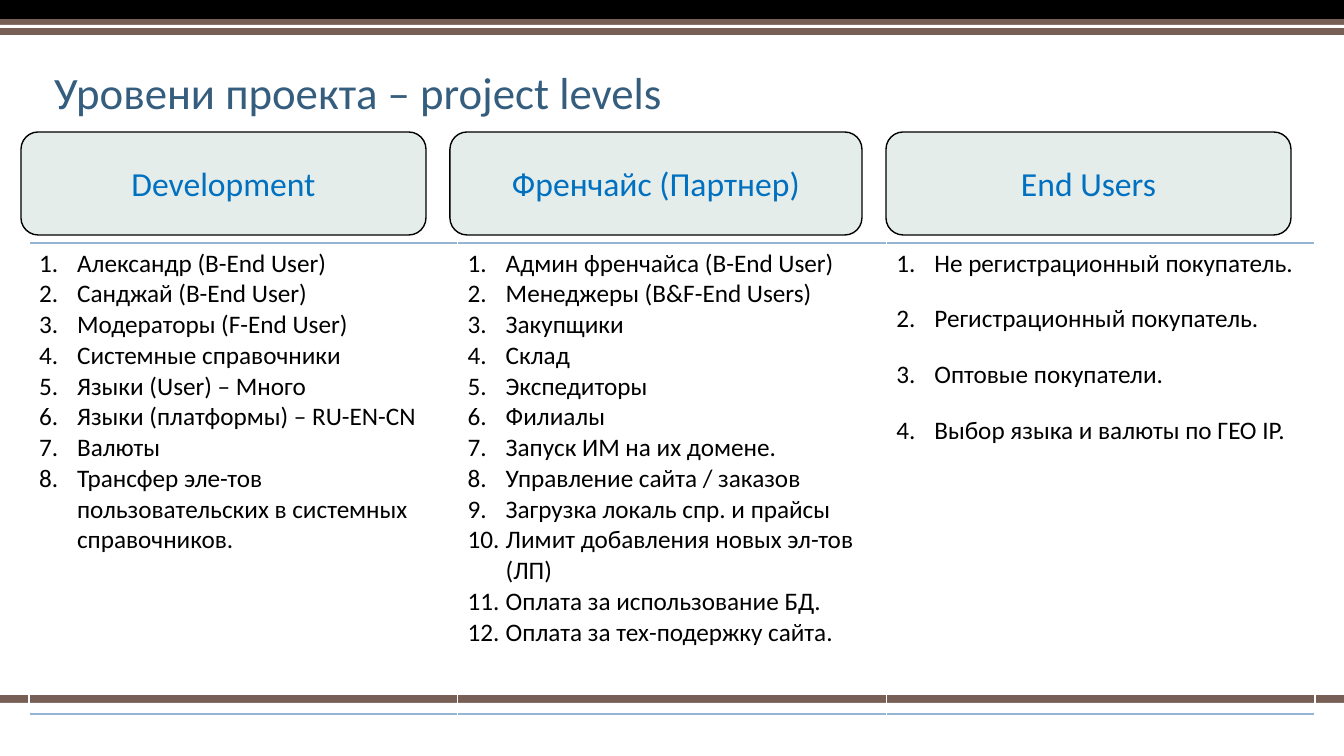
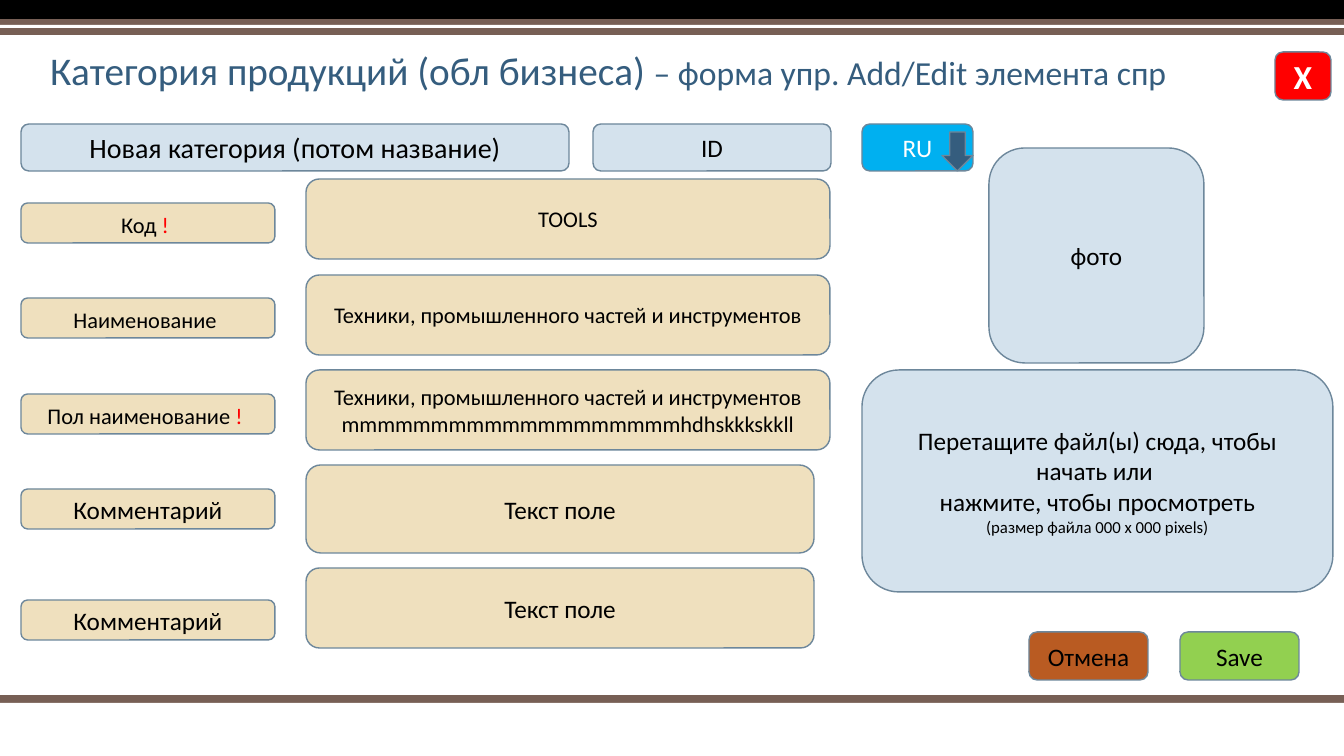
from lxml.etree import SubElement
from pptx import Presentation
from pptx.dml.color import RGBColor
from pptx.enum.shapes import MSO_SHAPE
from pptx.enum.text import MSO_ANCHOR, MSO_AUTO_SIZE, PP_ALIGN
from pptx.oxml import parse_xml
from pptx.oxml.ns import nsdecls, qn
from pptx.util import Emu, Pt

SLIDE_WIDTH, SLIDE_HEIGHT = 1344, 756
FONT = "Calibri"
BLACK, WHITE, RED = "000000", "FFFFFF", "FF0000"
BROWN, NAVY, OUTLINE = "775F55", "355D7E", "6D879B"
PALE_GREEN, HEADING_BLUE, RULE_BLUE = "E5EDEB", "0070C0", "94B6D2"
PALE_BLUE, SAND = "D4E2ED", "EFE0BE"
SKY, RUST, LIME = "00B0F0", "B95B22", "92D050"

BANDS = [
    (695, 11, BROWN),
    (703, 3, WHITE),
    (0, 19, BLACK),
    (19, 16, BROWN),
    (25, 3, WHITE),
]


def px(value):
    return Emu(round(value * 12192000 / SLIDE_WIDTH))


def color(hex_code):
    return RGBColor.from_string(hex_code)


def write(frame, content, size=18, ink=BLACK, bold=False, align=PP_ALIGN.LEFT,
          anchor=MSO_ANCHOR.TOP, spacing=None):
    frame.word_wrap = True
    frame.auto_size = MSO_AUTO_SIZE.NONE
    frame.vertical_anchor = anchor
    paragraph = frame.paragraphs[0]
    paragraph.alignment = align
    if spacing:
        paragraph.line_spacing = spacing
    parts = [(content, {})] if isinstance(content, str) else content
    for text, change in parts:
        for index, line in enumerate(text.split("\n")):
            if index:
                paragraph.add_line_break()
            if line:
                run = paragraph.add_run()
                run.text = line
                style_font(run.font, **{"size": size, "ink": ink, "bold": bold, **change})


def style_font(font, size, ink, bold=False):
    font.name = FONT
    font.size = Pt(size)
    font.bold = bold
    font.color.rgb = color(ink)


class Deck:
    def __init__(self):
        self.presentation = Presentation()
        self.presentation.slide_width = px(SLIDE_WIDTH)
        self.presentation.slide_height = px(SLIDE_HEIGHT)
        self.slide = None

    def start_slide(self, title, box, size):
        first = self.slide is None
        layout = self.presentation.slide_layouts[5]
        self.slide = self.presentation.slides.add_slide(layout)
        if first:
            self.add_master_bands()
        heading = self.slide.shapes.title
        heading.left, heading.top, heading.width, heading.height = map(px, box)
        write(heading.text_frame, title, size=size, ink=NAVY,
              anchor=MSO_ANCHOR.BOTTOM, spacing=0.9)

    def add_master_bands(self):
        master_tree = self.presentation.slide_master.shapes.element
        for index, (top, height, fill) in enumerate(BANDS):
            band = self.shape((0, top, SLIDE_WIDTH, height), fill, None,
                              kind=MSO_SHAPE.RECTANGLE)
            band.element.nvSpPr.cNvPr.set("id", str(100 + index))
            master_tree.insert(2 + index, band.element)

    def shape(self, box, fill, line=OUTLINE, kind=MSO_SHAPE.ROUNDED_RECTANGLE):
        shape = self.slide.shapes.add_shape(kind, *map(px, box))
        shape.shadow.inherit = False
        shape.fill.solid()
        shape.fill.fore_color.rgb = color(fill)
        if line:
            shape.line.color.rgb = color(line)
            shape.line.width = Pt(1)
        else:
            shape.line.fill.background()
        return shape

    def box(self, content, box, fill, line=OUTLINE, **text_format):
        shape = self.shape(box, fill, line)
        write(shape.text_frame, content, align=PP_ALIGN.CENTER,
              anchor=MSO_ANCHOR.MIDDLE, **text_format)

    def list_table(self, columns, box):
        frame = self.slide.shapes.add_table(1, len(columns), *map(px, box))
        table = frame.table
        table.first_row = False
        table.horz_banding = False
        for cell, (items, gap) in zip(table.rows[0].cells, columns):
            cell.fill.background()
            self.rule_cell(cell)
            self.numbered_list(cell.text_frame, items, gap)

    def rule_cell(self, cell):
        properties = cell._tc.get_or_add_tcPr()
        for index, side in enumerate(("lnT", "lnB")):
            properties.insert(index, parse_xml(
                f'<a:{side} {nsdecls("a")} w="12700"><a:solidFill>'
                f'<a:srgbClr val="{RULE_BLUE}"/></a:solidFill></a:{side}>'))

    def numbered_list(self, frame, items, gap):
        for index, item in enumerate(items):
            paragraph = frame.add_paragraph() if index else frame.paragraphs[0]
            run = paragraph.add_run()
            run.text = item
            style_font(run.font, size=18, ink=BLACK)
            if index and gap:
                paragraph.space_before = Pt(gap)
            properties = paragraph._p.get_or_add_pPr()
            properties.set("marL", str(px(38)))
            properties.set("indent", str(-px(38)))
            SubElement(properties, qn("a:buFont")).set("typeface", "+mj-lt")
            SubElement(properties, qn("a:buAutoNum")).set("type", "arabicPeriod")


def build_levels(deck):
    deck.start_slide("Уровени проекта – project levels", (44, 35, 1131, 89), 32)
    for name, left, width in [
        ("Development", 21, 405),
        ("Френчайс (Партнер)", 450, 412),
        ("End Users", 886, 405),
    ]:
        deck.box(name, (left, 132, width, 103), PALE_GREEN, BLACK,
                 size=24, ink=HEADING_BLUE)
    development = [
        "Александр (B-End User)",
        "Санджай (B-End User)",
        "Модераторы (F-End User)",
        "Системные справочники",
        "Языки (User) – Много",
        "Языки (платформы) – RU-EN-CN",
        "Валюты",
        "Трансфер эле-тов пользовательских в системных справочников.",
    ]
    partner = [
        "Админ френчайса (B-End User)",
        "Менеджеры (B&F-End Users)",
        "Закупщики",
        "Склад",
        "Экспедиторы",
        "Филиалы",
        "Запуск ИМ на их домене.",
        "Управление сайта / заказов",
        "Загрузка локаль спр. и прайсы",
        "Лимит добавления новых эл-тов (ЛП)",
        "Оплата за использование БД.",
        "Оплата за тех-подержку сайта.",
    ]
    end_users = [
        "Не регистрационный покупатель.",
        "Регистрационный покупатель.",
        "Оптовые покупатели.",
        "Выбор языка и валюты по ГЕО IP.",
    ]
    deck.list_table([(development, 0), (partner, 0), (end_users, 18)],
                    (29, 243, 1286, 471))


def build_category_form(deck):
    deck.start_slide([
        ("Категория продукций (обл бизнеса) ", {}),
        ("– форма упр. Add/Edit элемента спр", {"size": 24}),
    ], (40, 36, 1163, 63), 28)
    deck.box("Х", (1275, 52, 56, 48), RED, size=24, ink=WHITE, bold=True)
    deck.box("Новая категория (потом название)", (21, 124, 548, 47), PALE_BLUE, size=20)
    deck.box("ID", (593, 124, 238, 47), PALE_BLUE)
    deck.box("RU", (862, 124, 111, 47), SKY, ink=WHITE)
    deck.shape((942, 132, 31, 39), NAVY, kind=MSO_SHAPE.DOWN_ARROW)

    required = [("!", {"ink": RED}), (" ", {"size": 18})]
    equipment = "Техники, промышленного частей и инструментов"
    form_rows = [
        ([("Код ", {}), *required], 203, "TOOLS", 179, 524, 80, 16),
        ([("Наименование", {}), (" ", {"size": 18})], 298, equipment, 275, 524, 80, 16),
        ([("Пол наименование ", {}), *required], 394,
         equipment + " mmmmmmmmmmmmmmmmmmmhdhskkkskkll", 370, 524, 80, 16),
        ("Комментарий", 489, "Текст поле", 465, 508, 88, 18),
        ("Комментарий", 600, "Текст поле", 568, 508, 80, 18),
    ]
    for label, label_top, value, value_top, width, height, size in form_rows:
        deck.box(label, (21, label_top, 254, 40), SAND, size=size)
        deck.box(value, (306, value_top, width, height), SAND, size=size)

    deck.box("фото", (989, 148, 215, 215), PALE_BLUE)
    deck.box([
        ("Перетащите файл(ы) сюда, чтобы начать или \nнажмите, чтобы просмотреть\n", {}),
        ("(размер файла 000 x 000 pixels)", {"size": 12}),
    ], (862, 370, 471, 222), PALE_BLUE)
    for action, left, fill in [("Отмена", 1029, RUST), ("Save", 1180, LIME)]:
        deck.box(action, (left, 632, 119, 48), fill)


def main():
    deck = Deck()
    build_levels(deck)
    build_category_form(deck)
    deck.presentation.save("out.pptx")


if __name__ == "__main__":
    main()
